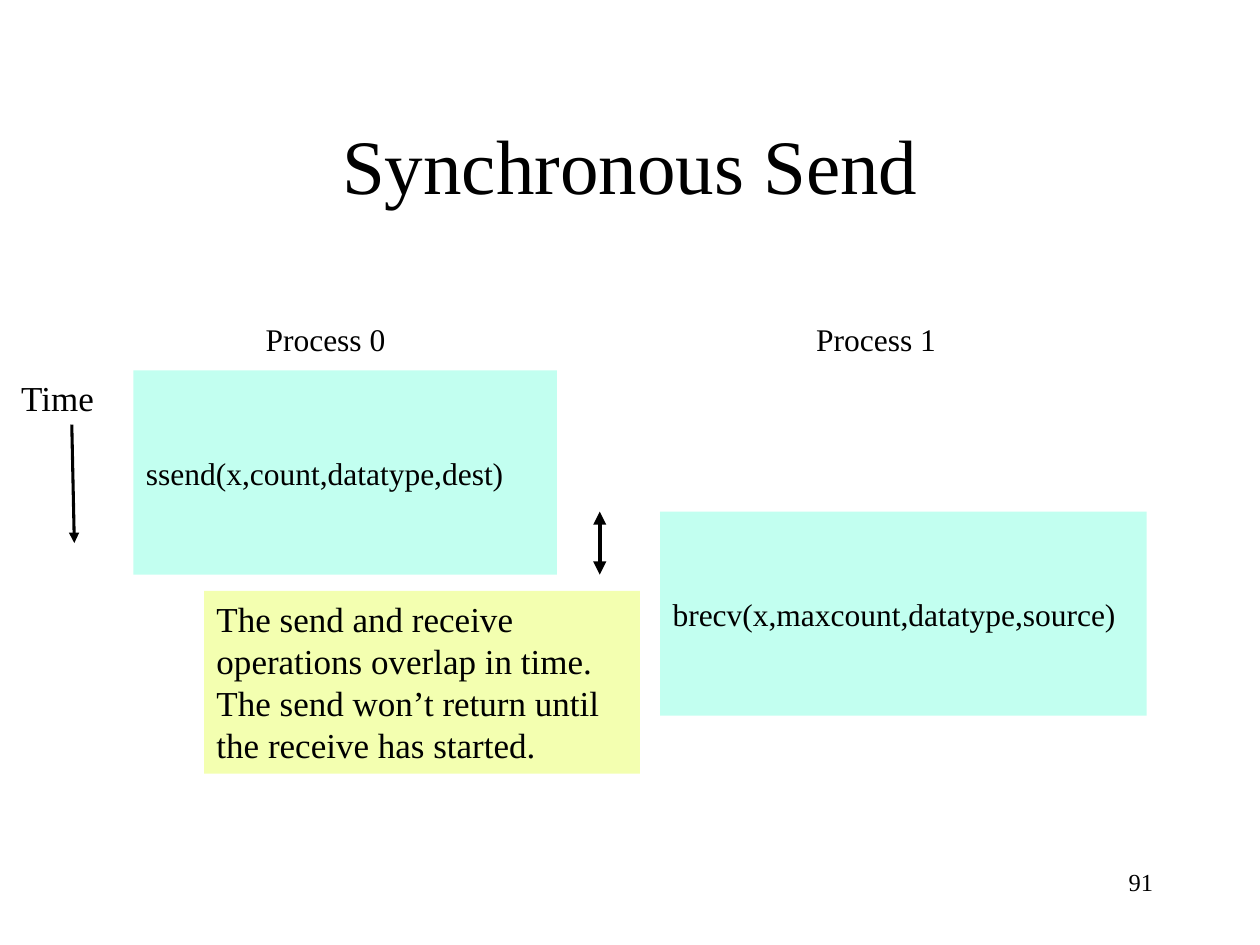
from lxml import etree
from pptx import Presentation
from pptx import util as u
from pptx.dml.color import RGBColor
from pptx.enum import shapes, text
from pptx.oxml.ns import qn

COLORS = {"ink": "000000", "call": "C2FFF0", "note": "F3FFB0"}
FONT = "Times New Roman"
COLUMNS, ROWS = 100, 75
LEFT, CENTER, RIGHT = text.PP_ALIGN.LEFT, text.PP_ALIGN.CENTER, text.PP_ALIGN.RIGHT
TOP, MIDDLE = text.MSO_ANCHOR.TOP, text.MSO_ANCHOR.MIDDLE

SEND_TOP, RECEIVE_TOP, CALL_ROWS = 29.4, 40.6, 16.2
SEND_END = SEND_TOP + CALL_ROWS

LABELS = [
    ("Synchronous Send", (7.5, 6.7, 85, 12.5), 44, CENTER, MIDDLE),
    ("91", (71.7, 68.3, 20.8, 5), 14, RIGHT, TOP),
    ("Process 0", (20.1, 24.9, 13.4, 4), 18, LEFT, TOP),
    ("Process 1", (63.8, 24.9, 13.4, 4), 18, LEFT, TOP),
    ("Time", (0.7, SEND_TOP, 9.9, 4.4), 20, LEFT, TOP),
]
PANELS = [
    ("ssend(x,count,datatype,dest)", (10.6, SEND_TOP, 33.6, CALL_ROWS), 18, "call", MIDDLE),
    ("brecv(x,maxcount,datatype,source)", (52.4, RECEIVE_TOP, 38.6, CALL_ROWS), 18, "call", MIDDLE),
    ("The send and receive operations overlap in time. "
     "The send won’t return until the receive has started.",
     (16.2, 46.9, 34.6, 14.5), 20, "note", TOP),
]
ARROWS = [
    ((47.6, RECEIVE_TOP, 47.6, SEND_END), 2.5, ("headEnd", "tailEnd")),
    ((5.7, 33.7, 5.9, 43.1), 1.75, ("tailEnd",)),
]

deck = Presentation()
deck.slide_width, deck.slide_height = u.Inches(10), u.Inches(7.5)
slide = deck.slides.add_slide(deck.slide_layouts[6])
column, row = deck.slide_width / COLUMNS, deck.slide_height / ROWS


def on_grid(cells):
    return [round(cell * unit) for cell, unit in zip(cells, (column, row) * 2)]


def write(holder, words, size, align, anchor):
    frame = holder.text_frame
    frame.word_wrap = True
    frame.vertical_anchor = anchor
    line = frame.paragraphs[0]
    line.alignment = align
    run = line.add_run()
    run.text = words
    for key, value in {"name": FONT, "size": u.Pt(size)}.items():
        setattr(run.font, key, value)
    run.font.color.rgb = RGBColor.from_string(COLORS["ink"])


for words, cells, size, align, anchor in LABELS:
    write(slide.shapes.add_textbox(*on_grid(cells)), words, size, align, anchor)

for words, cells, size, color, anchor in PANELS:
    panel = slide.shapes.add_shape(shapes.MSO_SHAPE.RECTANGLE, *on_grid(cells))
    panel.shadow.inherit = False
    panel.fill.solid()
    panel.fill.fore_color.rgb = RGBColor.from_string(COLORS[color])
    panel.line.fill.background()
    write(panel, words, size, LEFT, anchor)

for cells, weight, ends in ARROWS:
    arrow = slide.shapes.add_connector(shapes.MSO_CONNECTOR.STRAIGHT, *on_grid(cells))
    arrow.line.width = u.Pt(weight)
    arrow.line.color.rgb = RGBColor.from_string(COLORS["ink"])
    for end in ends:
        etree.SubElement(arrow.line._get_or_add_ln(), qn(f"a:{end}"), type="triangle")
    etree.SubElement(arrow._element.spPr, qn("a:effectLst"))

deck.save("out.pptx")
